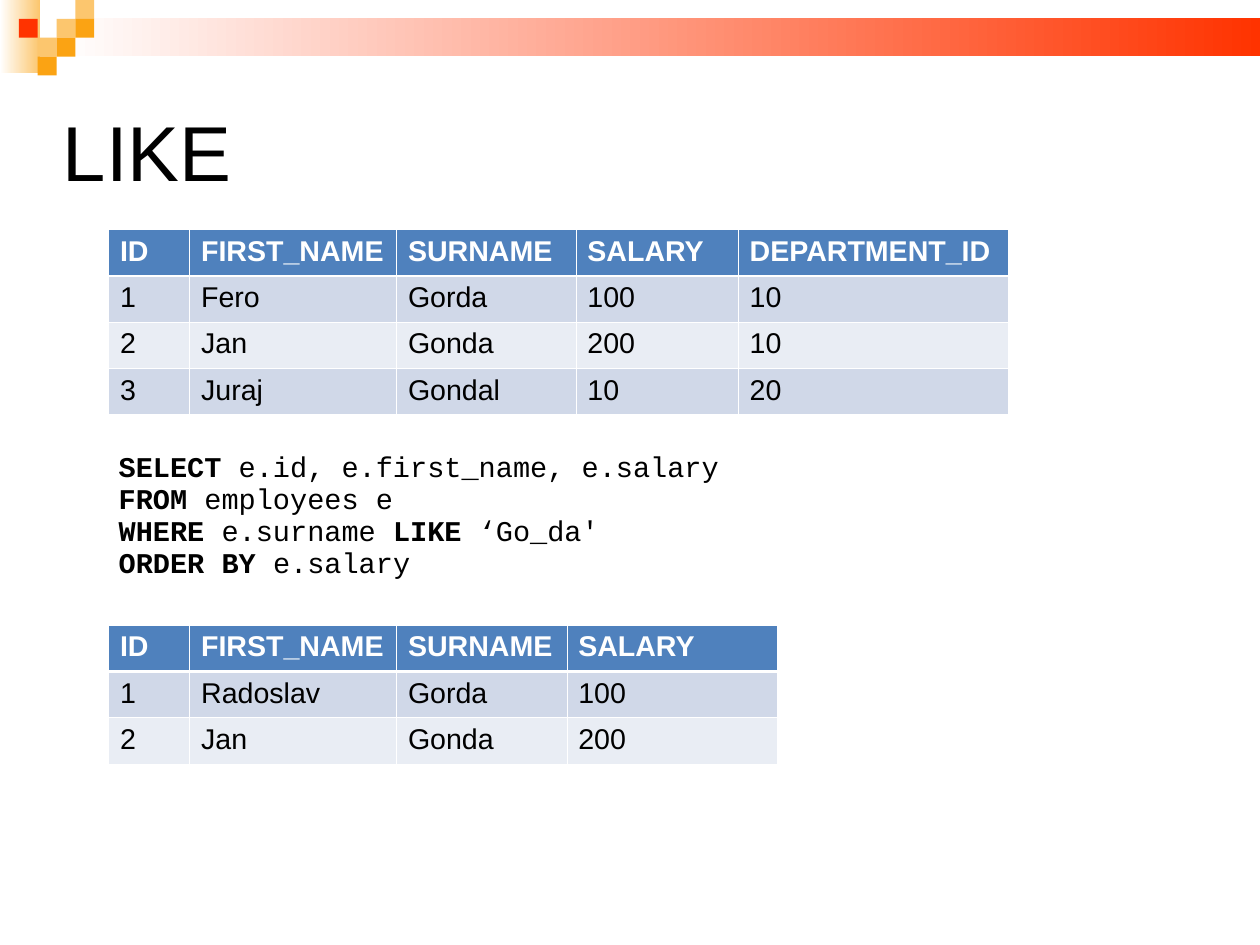
from lxml import etree
from pptx import Presentation
from pptx import util as u
from pptx.dml.color import RGBColor
from pptx.enum import shapes, text
from pptx.oxml.ns import qn

WHITE, BLACK, RED = "FFFFFF", "000000", "FF3300"
LIGHT_ORANGE, ORANGE = "FCC66E", "FBA313"
HEADER_BLUE, BAND_DARK, BAND_LIGHT = "4F81BD", "D0D8E8", "E9EDF4"
CM_PER_INCH = 2.54
SLIDE_WIDTH, SLIDE_HEIGHT = 28 / CM_PER_INCH, 21 / CM_PER_INCH
SQUARE = 0.66 / 4
ROW_HEIGHT = 1.62 / 4
THIN, THICK = 0.45, 1.47

SQUARES = [
    (3, 1, LIGHT_ORANGE), (4, 0, LIGHT_ORANGE), (4, 1, ORANGE),
    (2, 2, LIGHT_ORANGE), (1, 1, RED), (3, 2, ORANGE), (2, 3, ORANGE),
]
EMPLOYEES = [
    ["ID", "FIRST_NAME", "SURNAME", "SALARY", "DEPARTMENT_ID"],
    ["1", "Fero", "Gorda", "100", "10"],
    ["2", "Jan", "Gonda", "200", "10"],
    ["3", "Juraj", "Gondal", "10", "20"],
]
RESULT = [
    ["ID", "FIRST_NAME", "SURNAME", "SALARY"],
    ["1", "Radoslav", "Gorda", "100"],
    ["2", "Jan", "Gonda", "200"],
]
QUERY = [
    [("SELECT ", True), ("e.id, e.first_name, e.salary", False)],
    [("FROM", True), (" employees e", False)],
    [("WHERE ", True), ("e.surname ", False), ("LIKE", True), (" ‘Go_da'", False)],
    [("ORDER BY ", True), ("e.salary", False)],
]


def colour(value):
    return RGBColor.from_string(value)


def format_font(font, name, size, value, bold=False):
    font.name = name
    font.size = u.Pt(size)
    font.color.rgb = colour(value)
    font.bold = bold


def add_block(slide, left, top, width, height, start, end=None):
    shape = slide.shapes.add_shape(
        shapes.MSO_SHAPE.RECTANGLE,
        u.Inches(left), u.Inches(top), u.Inches(width), u.Inches(height))
    shape.shadow.inherit = False
    shape.line.fill.background()
    if end is None:
        shape.fill.solid()
        shape.fill.fore_color.rgb = colour(start)
        return
    shape.fill.gradient()
    shape.fill.gradient_angle = 180
    for stop, value in zip(shape.fill.gradient_stops, (start, end)):
        stop.color.rgb = colour(value)


def add_banner(slide):
    add_block(slide, 0, 0, 0.35, 0.64, LIGHT_ORANGE, WHITE)
    add_block(slide, 0.5, 0.16, SLIDE_WIDTH - 0.5, 0.33, RED, WHITE)
    for column, row, value in SQUARES:
        add_block(slide, column * SQUARE, row * SQUARE, SQUARE, SQUARE, value)


def set_title(slide, wording):
    title = slide.shapes.title
    title.left, title.top = u.Inches(0.55), u.Inches(0.55)
    title.width, title.height = u.Inches(9.92), u.Inches(1.65)
    frame = title.text_frame
    frame.text = wording
    frame.auto_size = text.MSO_AUTO_SIZE.NONE
    frame.vertical_anchor = text.MSO_ANCHOR.MIDDLE
    frame.margin_left = frame.margin_right = frame.margin_top = frame.margin_bottom = 0
    paragraph = frame.paragraphs[0]
    paragraph.alignment = text.PP_ALIGN.LEFT
    paragraph.line_spacing = 0.87
    format_font(paragraph.runs[0].font, "Arial", 49, BLACK)


def add_query(slide, lines):
    box = slide.shapes.add_textbox(
        u.Inches(0.94), u.Inches(3.9), u.Inches(5.83), u.Inches(1.23))
    frame = box.text_frame
    frame.word_wrap = True
    frame.auto_size = text.MSO_AUTO_SIZE.SHAPE_TO_FIT_TEXT
    for index, line in enumerate(lines):
        paragraph = frame.add_paragraph() if index else frame.paragraphs[0]
        paragraph.line_spacing = 0.94
        for wording, bold in line:
            run = paragraph.add_run()
            run.text = wording
            format_font(run.font, "Courier New", 18, BLACK, bold)


def set_borders(cell, top, bottom):
    properties = cell._tc.get_or_add_tcPr()
    for side, width in (("L", THIN), ("R", THIN), ("T", top), ("B", bottom)):
        line = etree.SubElement(properties, qn(f"a:ln{side}"), w=str(u.Pt(width)))
        fill = etree.SubElement(line, qn("a:solidFill"))
        etree.SubElement(fill, qn("a:srgbClr"), val=WHITE)


def format_cell(cell, wording, row):
    header = row == 0
    set_borders(cell, THICK if row == 1 else THIN, THICK if header else THIN)
    cell.fill.solid()
    band = BAND_DARK if row % 2 else BAND_LIGHT
    cell.fill.fore_color.rgb = colour(HEADER_BLUE if header else band)
    cell.text_frame.text = wording
    run = cell.text_frame.paragraphs[0].runs[0]
    format_font(run.font, "Arial", 18, WHITE if header else BLACK, header)


def add_data_table(slide, top, widths, records):
    table = slide.shapes.add_table(
        len(records), len(widths), u.Inches(0.95), u.Inches(top),
        u.Inches(sum(widths)), u.Inches(ROW_HEIGHT * len(records))).table
    for column, width in zip(table.columns, widths):
        column.width = u.Inches(width)
    for row, record in enumerate(records):
        for column, wording in enumerate(record):
            format_cell(table.cell(row, column), wording, row)


def main():
    presentation = Presentation()
    presentation.slide_width = u.Inches(SLIDE_WIDTH)
    presentation.slide_height = u.Inches(SLIDE_HEIGHT)
    slide = presentation.slides.add_slide(presentation.slide_layouts[5])
    add_banner(slide)
    set_title(slide, "LIKE")
    add_query(slide, QUERY)
    add_data_table(slide, 5.47, [0.71, 1.81, 1.49, 1.84], RESULT)
    add_data_table(slide, 2.01, [0.71, 1.81, 1.57, 1.42, 2.36], EMPLOYEES)
    presentation.save("out.pptx")


if __name__ == "__main__":
    main()
